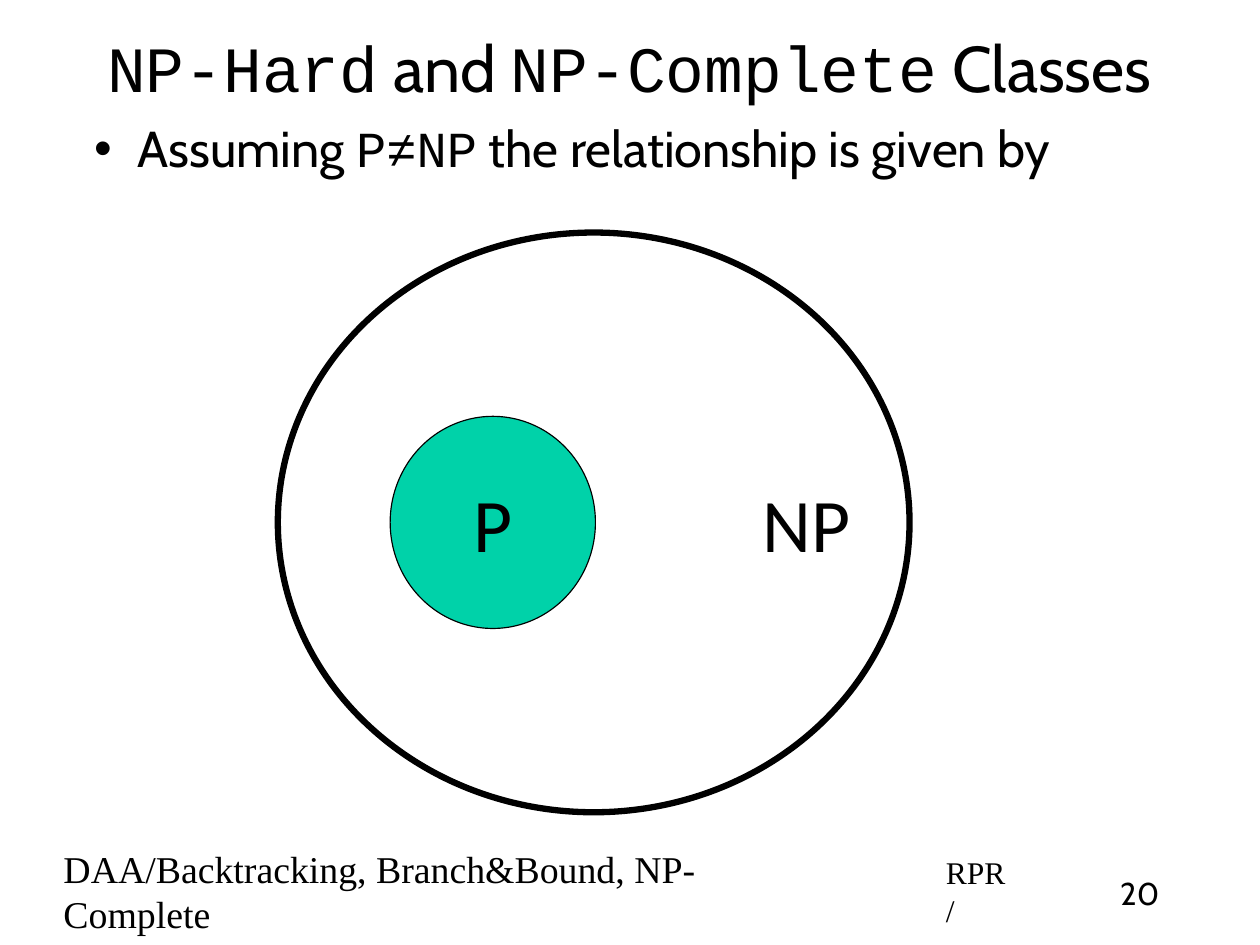
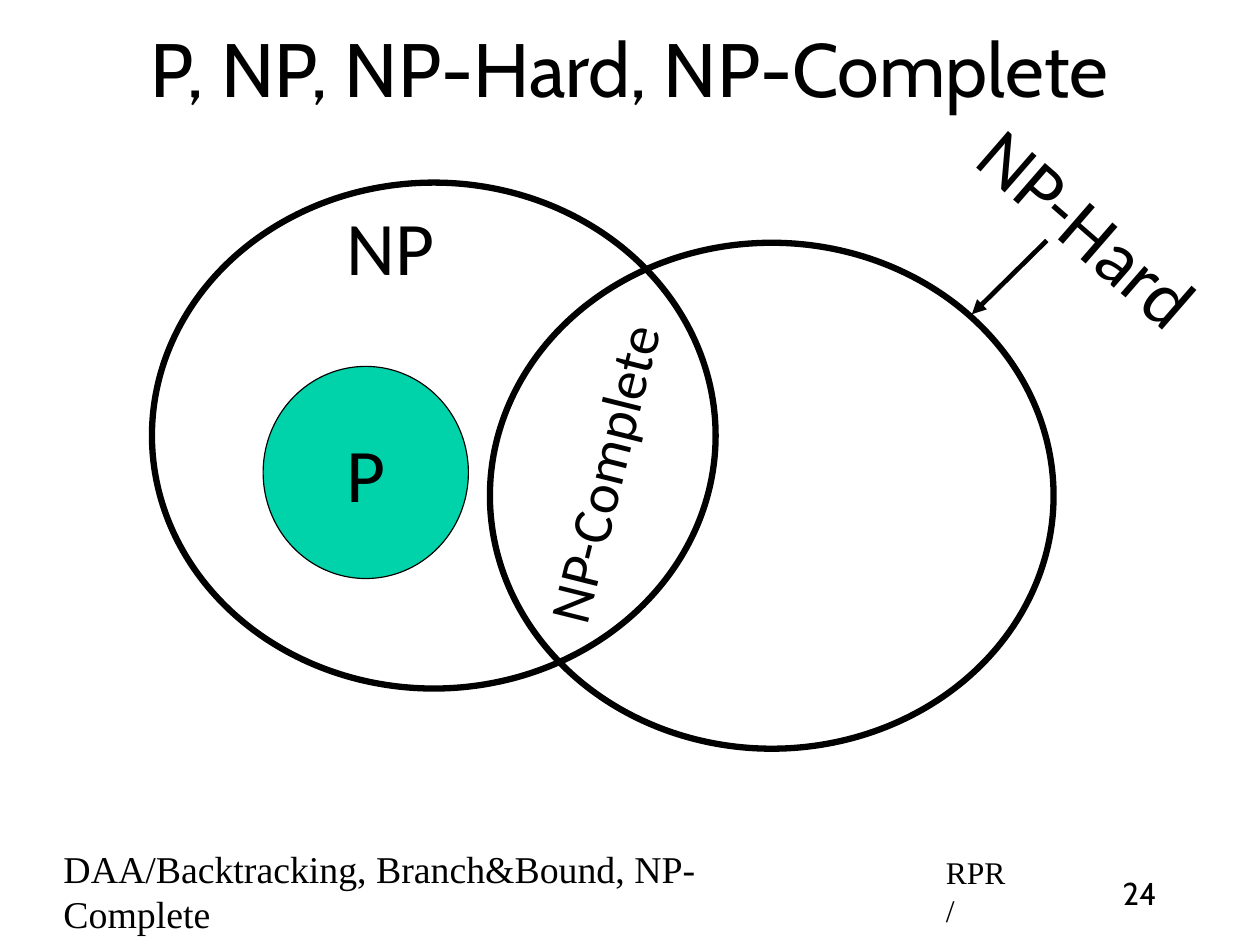
from dataclasses import dataclass

from lxml.etree import SubElement
from pptx import Presentation
from pptx.dml.color import RGBColor
from pptx.enum.shapes import MSO_CONNECTOR, MSO_SHAPE
from pptx.enum.text import MSO_ANCHOR, MSO_AUTO_SIZE, PP_ALIGN
from pptx.oxml.ns import qn
from pptx.util import Inches, Pt

HUES = {"ink": "000000", "mint": "00D2A9"}
SANS, MONO, SERIF, LABEL = "Cabin", "Courier New", "Times New Roman", "Calibri"
PAD = 0.06


@dataclass
class Run:
    text: str
    font: str
    size: float


@dataclass
class Box:
    left: float
    top: float
    width: float
    height: float

    def place(self) -> tuple:
        return tuple(Inches(v) for v in (self.left, self.top, self.width, self.height))


@dataclass
class Label:
    text: str
    box: Box
    size: float = 48
    turn: float = 0


# Shared places
TITLE = Box(0.83, 0.07, 9.44, 1.04)
BODY = Box(0.73, 1.03, 9.9, 0.87)
FOOTER = Box(0.5, 7.62, 6.9, 0.47)
AUTHOR = Box(8.28, 7.64, 0.7, 0.42)
NUMBER = Box(9.72, 7.64, 0.66, 0.42)


def tint(name: str) -> RGBColor:
    return RGBColor.from_string(HUES[name])


def write(shape, runs: list[Run], align=PP_ALIGN.CENTER,
          anchor=MSO_ANCHOR.MIDDLE, wrap: bool = True):
    """Fill a shape with one paragraph and return that paragraph."""
    frame = shape.text_frame
    frame.auto_size = MSO_AUTO_SIZE.NONE
    frame.word_wrap = wrap
    frame.vertical_anchor = anchor
    frame.margin_left = frame.margin_right = Inches(PAD)
    frame.margin_top = frame.margin_bottom = Inches(PAD)
    para = frame.paragraphs[0]
    para.alignment = align
    para.space_before = Pt(0)
    for item in runs:
        run = para.add_run()
        run.text = item.text
        run.font.name = item.font
        run.font.size = Pt(item.size)
        run.font.color.rgb = tint("ink")
    return para


def move(shape, box: Box) -> None:
    shape.left, shape.top, shape.width, shape.height = box.place()


def start(deck, layout: int, title: list[Run], number: str):
    """Add a slide with its title, footer, author and number."""
    slide = deck.slides.add_slide(deck.slide_layouts[layout])
    move(slide.shapes.title, TITLE)
    write(slide.shapes.title, title)
    left, middle = PP_ALIGN.LEFT, MSO_ANCHOR.MIDDLE
    for box, run, align, anchor in (
        (FOOTER, Run("DAA/Backtracking, Branch&Bound, NP-Complete", SERIF, 24), left, middle),
        (AUTHOR, Run("RPR/", SERIF, 20), left, middle),
        (NUMBER, Run(number, SANS, 20), PP_ALIGN.CENTER, MSO_ANCHOR.TOP),
    ):
        write(slide.shapes.add_textbox(*box.place()), [run], align, anchor)
    return slide


def bullet(slide, runs: list[Run]) -> None:
    body = slide.placeholders[1]
    move(body, BODY)
    para = write(body, runs, PP_ALIGN.LEFT, MSO_ANCHOR.TOP)
    para.line_spacing = 0.9
    props = para._p.get_or_add_pPr()
    props.set("marL", str(Inches(0.42)))
    props.set("indent", str(Inches(-0.38)))
    SubElement(props, qn("a:buChar")).set("char", "•")


def oval(slide, box: Box, weight: float):
    shape = slide.shapes.add_shape(MSO_SHAPE.OVAL, *box.place())
    shape.shadow.inherit = False
    shape.fill.background()
    shape.line.color.rgb = tint("ink")
    shape.line.width = Pt(weight)
    return shape


def ring(slide, box: Box) -> None:
    oval(slide, box, 4)


def core(slide, left: float, top: float) -> None:
    """Draw the filled class P."""
    shape = oval(slide, Box(left, top, 1.81, 1.87), 0.75)
    shape.fill.solid()
    shape.fill.fore_color.rgb = tint("mint")
    write(shape, [Run("P", LABEL, 48)])


def tag(slide, label: Label) -> None:
    shape = slide.shapes.add_textbox(*label.box.place())
    shape.rotation = label.turn
    write(shape, [Run(label.text, LABEL, label.size)], wrap=False)


def arrow(slide, x1: float, y1: float, x2: float, y2: float) -> None:
    ends = [Inches(v) for v in (x1, y1, x2, y2)]
    line = slide.shapes.add_connector(MSO_CONNECTOR.STRAIGHT, *ends)
    line.line.color.rgb = tint("ink")
    line.line.width = Pt(3)
    SubElement(line.line._get_or_add_ln(), qn("a:tailEnd")).set("type", "triangle")
    SubElement(line._element.spPr, qn("a:effectLst"))


def nested(deck) -> None:
    """P inside NP."""
    title = [Run("NP-Hard", MONO, 41), Run(" and ", SANS, 41),
             Run("NP-Complete", MONO, 41), Run(" Classes", SANS, 41)]
    slide = start(deck, 1, title, "20")
    bullet(slide, [Run("Assuming ", SANS, 32), Run("P≠NP", MONO, 32),
                   Run(" the relationship is given by", SANS, 32)])
    ring(slide, Box(2.45, 2.05, 5.57, 5.11))
    core(slide, 3.44, 3.67)
    tag(slide, Label("NP", Box(6.6, 4.16, 1.03, 0.89)))


def crossed(deck) -> None:
    """NP and NP-Hard overlap in NP-Complete."""
    slide = start(deck, 5, [Run("P, NP, NP-Hard, NP-Complete", SANS, 48)], "24")
    for left, top in ((1.34, 1.61), (4.32, 2.14)):
        ring(slide, Box(left, top, 4.97, 4.46))
    core(slide, 2.32, 3.23)
    for label in (
        Label("NP", Box(2.93, 1.72, 1.03, 0.89)),
        Label("NP-Complete", Box(3.81, 3.83, 3, 0.68), 36, 284),
        Label("NP-Hard", Box(8.3, 1.55, 2.61, 0.89), turn=41),
    ):
        tag(slide, label)
    arrow(slide, 9.23, 2.12, 8.57, 2.77)


def main() -> None:
    deck = Presentation()
    deck.slide_width, deck.slide_height = Inches(11.11), Inches(8.33)
    nested(deck)
    crossed(deck)
    deck.save("out.pptx")


if __name__ == "__main__":
    main()
